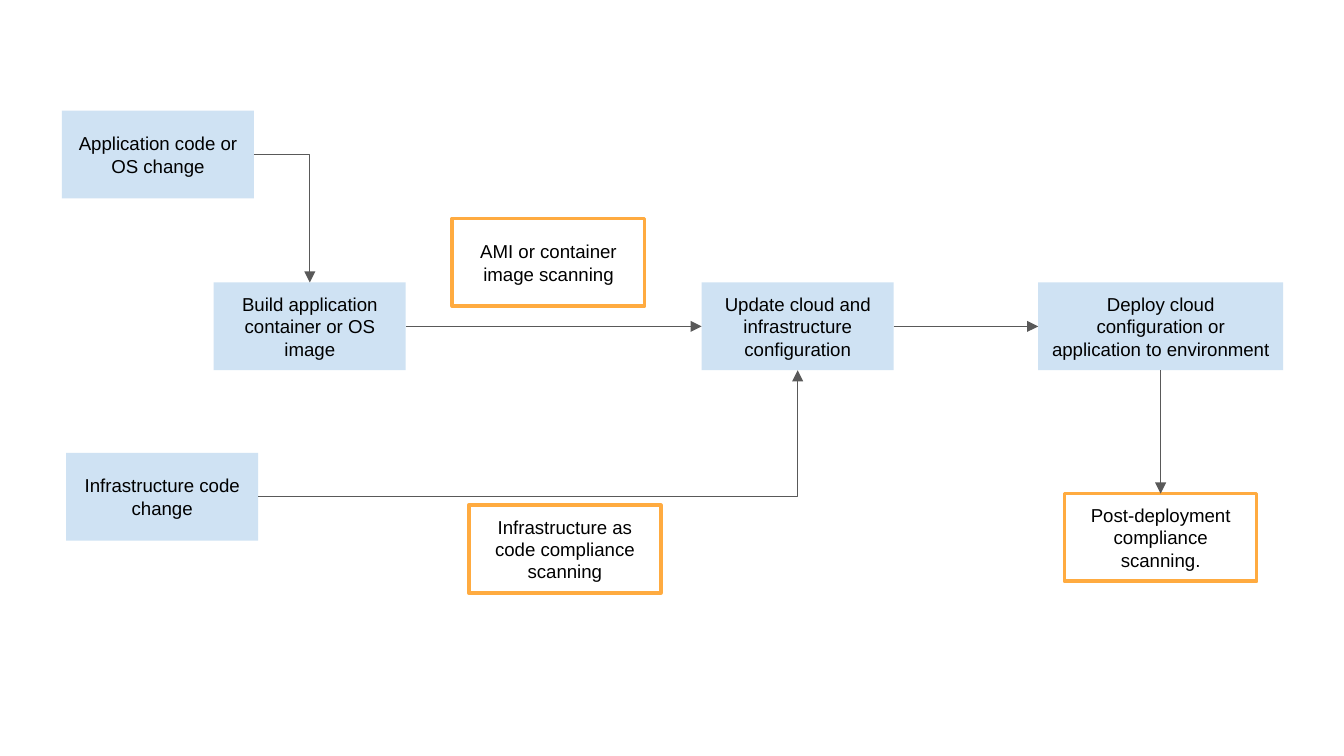
from dataclasses import dataclass

from pptx import Presentation
from pptx import util as u
from pptx.dml.color import RGBColor
from pptx.enum import shapes, text
from pptx.oxml.ns import qn
from lxml import etree


@dataclass(frozen=True)
class Theme:
    step: RGBColor = RGBColor(0xCF, 0xE2, 0xF3)
    scan_fill: RGBColor = RGBColor(0xFF, 0xFF, 0xFF)
    scan_border: RGBColor = RGBColor(0xFF, 0xAB, 0x40)
    arrow: RGBColor = RGBColor(0x59, 0x59, 0x59)
    ink: RGBColor = RGBColor(0, 0, 0)
    font: str = "Arial"
    size: u.Pt = u.Pt(10)


theme = Theme()
presentation = Presentation()
presentation.slide_width = u.Cm(25.4)
presentation.slide_height = u.Cm(14.29)
slide = presentation.slides.add_slide(presentation.slide_layouts[6])

BOX_WIDTH, BOX_HEIGHT = 3.63, 1.66
MAIN_ROW = 5.34
TOP, LEFT, BOTTOM, RIGHT = range(4)  # connection sites of a rectangle

# key: (wording, left, top, width, is a scan)
boxes = {
    "build": ("Build application container or OS image", 4.04, MAIN_ROW, BOX_WIDTH, False),
    "deploy": ("Deploy cloud configuration or application to environment",
               19.62, MAIN_ROW, 4.63, False),
    "update": ("Update cloud and infrastructure configuration",
               13.26, MAIN_ROW, BOX_WIDTH, False),
    "app change": ("Application code or OS change", 1.17, 2.09, BOX_WIDTH, False),
    "infra change": ("Infrastructure code change", 1.25, 8.56, BOX_WIDTH, False),
    "image scan": ("AMI or container image scanning", 8.55, 4.13, BOX_WIDTH, True),
    "post scan": ("Post-deployment compliance scanning.", 20.12, 9.33, BOX_WIDTH, True),
    "code scan": ("Infrastructure as code compliance scanning", 8.86, 9.55, BOX_WIDTH, True),
}

placed = {}
for key, (wording, left, top, width, is_scan) in boxes.items():
    shape = slide.shapes.add_shape(
        shapes.MSO_SHAPE.RECTANGLE, u.Cm(left), u.Cm(top), u.Cm(width), u.Cm(BOX_HEIGHT))
    shape.shadow.inherit = False
    shape.fill.solid()
    shape.fill.fore_color.rgb = theme.scan_fill if is_scan else theme.step
    if is_scan:
        shape.line.color.rgb = theme.scan_border
        shape.line.width = u.Pt(2)
    else:
        shape.line.fill.background()

    frame = shape.text_frame
    frame.word_wrap = True
    frame.vertical_anchor = text.MSO_ANCHOR.MIDDLE
    frame.margin_left = frame.margin_right = u.Cm(0.25)
    frame.margin_top = frame.margin_bottom = u.Cm(0.25)
    paragraph = frame.paragraphs[0]
    paragraph.alignment = text.PP_ALIGN.CENTER
    run = paragraph.add_run()
    run.text = wording
    run.font.name = theme.font
    run.font.size = theme.size
    run.font.color.rgb = theme.ink
    placed[key] = shape

# start box, its site, end box, its site
arrows = [
    ("app change", RIGHT, "build", TOP),
    ("infra change", RIGHT, "update", BOTTOM),
    ("build", RIGHT, "update", LEFT),
    ("update", RIGHT, "deploy", LEFT),
    ("deploy", BOTTOM, "post scan", TOP),
]
for start, start_site, end, end_site in arrows:
    turns = (start_site + end_site) % 2 == 1
    kind = shapes.MSO_CONNECTOR.ELBOW if turns else shapes.MSO_CONNECTOR.STRAIGHT
    connector = slide.shapes.add_connector(kind, 0, 0, 0, 0)
    connector.begin_connect(placed[start], start_site)
    connector.end_connect(placed[end], end_site)
    connector.line.color.rgb = theme.arrow
    connector.line.width = u.Pt(0.75)

    properties = connector._element.spPr
    if turns:
        properties.find(qn("a:prstGeom")).set("prst", "bentConnector2")
    etree.SubElement(properties.find(qn("a:ln")), qn("a:tailEnd"), type="triangle")
    etree.SubElement(properties, qn("a:effectLst"))

presentation.save("out.pptx")
